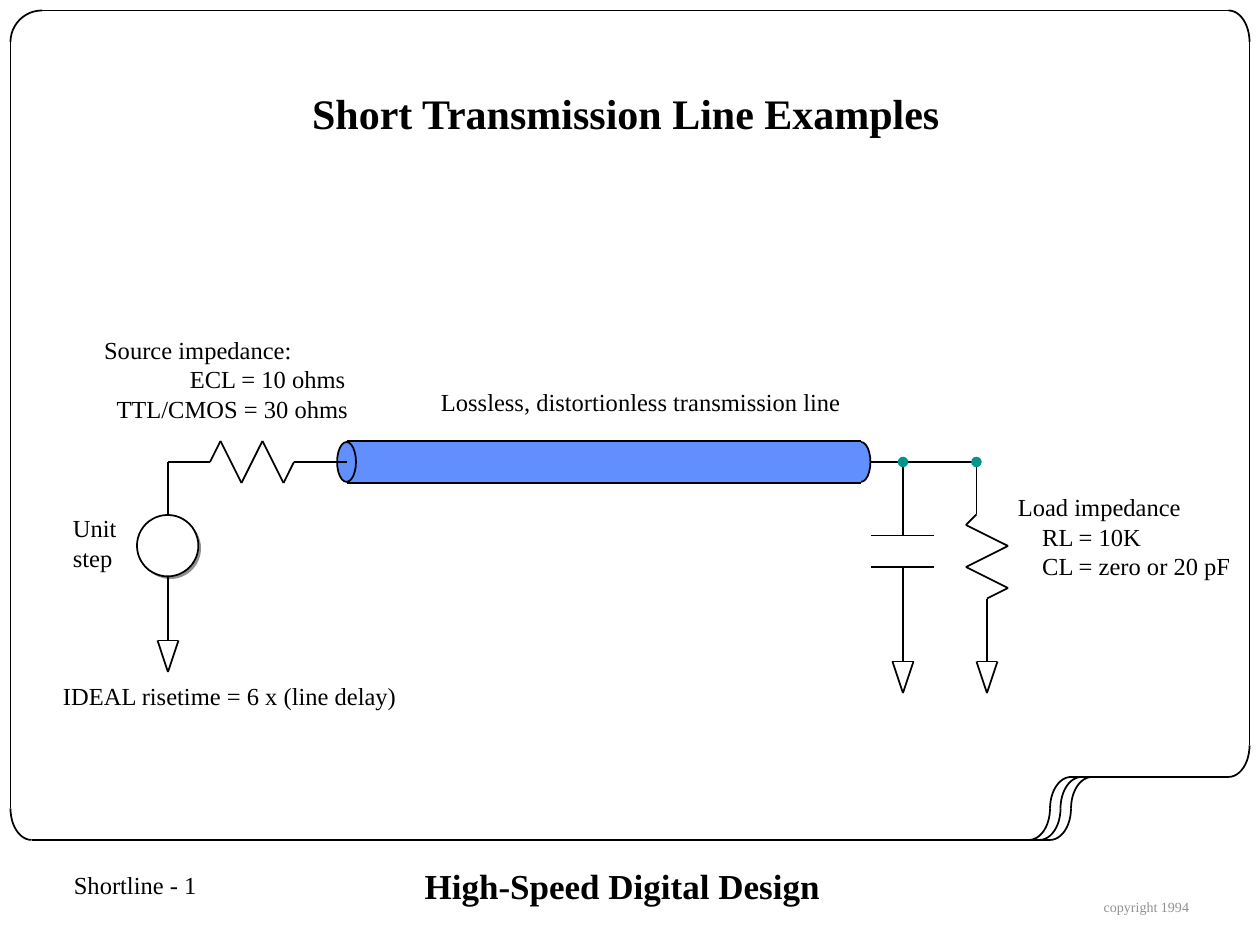
from itertools import pairwise

from lxml import etree
from pptx import Presentation
from pptx.dml.color import RGBColor as Rgb
from pptx.enum.shapes import MSO_CONNECTOR as Connector, MSO_SHAPE as Shape
from pptx.enum.text import MSO_ANCHOR as Anchor, MSO_AUTO_SIZE as AutoSize, PP_ALIGN as Align
from pptx.oxml.ns import qn
from pptx.util import Cm, Pt

COLORS = {"ink": "000000", "paper": "FFFFFF", "gray": "919191",
          "cable": "618FFD", "node": "009688"}


def grid(units):
    """The drawing sits on a grid of twelve units to the inch."""
    return Cm(units * 2.54 / 12)


class Sketch:
    font_name = "Times New Roman"
    line_width = Pt(1)

    def __init__(self, slide):
        self.slide = slide
        self.shapes = slide.shapes

    def color(self, name):
        return Rgb.from_string(COLORS[name])

    def format_text(self, paragraph, size, color="ink", bold=False):
        formats = {"name": self.font_name, "size": Pt(size), "bold": bold}
        for key, value in formats.items():
            setattr(paragraph.font, key, value)
        paragraph.font.color.rgb = self.color(color)

    def title(self, text, box):
        title = self.shapes.title
        for key, value in zip(("left", "top", "width", "height"), box):
            setattr(title, key, Cm(value))
        frame = title.text_frame
        frame.text = text
        frame.auto_size = AutoSize.NONE
        frame.vertical_anchor = Anchor.MIDDLE
        paragraph = frame.paragraphs[0]
        paragraph.alignment = Align.CENTER
        paragraph.line_spacing = 0.9
        self.format_text(paragraph, 24, bold=True)

    def text(self, lines, box, size=14, color="ink", bold=False):
        """Each line is a pair of its wording and its indent in cm."""
        frame = self.shapes.add_textbox(*map(Cm, box)).text_frame
        frame.word_wrap = True
        frame.auto_size = AutoSize.NONE
        for index, (wording, indent) in enumerate(lines):
            paragraph = frame.add_paragraph() if index else frame.paragraphs[0]
            paragraph.text = wording
            if indent:
                paragraph._p.get_or_add_pPr().set("marL", str(Cm(indent)))
            self.format_text(paragraph, size, color, bold)

    def shape(self, kind, box, fill=None, outlined=True):
        shape = self.shapes.add_shape(kind, *map(grid, box))
        shape.shadow.inherit = False
        if fill:
            shape.fill.solid()
            shape.fill.fore_color.rgb = self.color(fill)
        else:
            shape.fill.background()
        if outlined:
            shape.line.color.rgb = self.color("ink")
            shape.line.width = self.line_width
        else:
            shape.line.fill.background()
        return shape

    def arc(self, box, start):
        """A quarter arc, clockwise from the start angle in degrees."""
        arc = self.shape(Shape.ARC, box)
        for index, angle in enumerate((start, (start + 90) % 360)):
            arc.adjustments[index] = angle * 0.6

    def wire(self, *points):
        """Straight lines through the points; returns the first one."""
        lines = []
        for start, end in pairwise(points):
            line = self.shapes.add_connector(
                Connector.STRAIGHT, *map(grid, start + end))
            line.line.color.rgb = self.color("ink")
            line.line.width = self.line_width
            etree.SubElement(line._element.spPr, qn("a:effectLst"))
            lines.append(line)
        return lines[0]

    def ground(self, x, y):
        self.wire((x - 1, y), (x + 1, y), (x, y + 3), (x - 1, y))


def draw_frame(sketch):
    # Page outline with rounded corners
    for points in (((1, 77), (1, 4)), ((3, 80), (100, 80)), ((102, 74), (117, 74)),
                   ((119, 71), (119, 4)), ((117, 1), (4, 1))):
        sketch.wire(*points)
    for box, start in (((1, 74, 4, 6), 90), ((1, 1, 6, 6), 180),
                       ((115, 68, 4, 6), 0), ((115, 1, 4, 6), 270)):
        sketch.arc(box, start)
    # Three folded sheets at the lower right
    for sheet in range(3):
        sketch.arc((96 + sheet, 74, 4, 6), 0)
        sketch.arc((100 + sheet, 74, 4, 6), 180)
    # Footer
    sketch.text([("High-Speed Digital Design", 0)], (8.31, 17.3, 8.9, 1.09), 20, bold=True)
    sketch.text([("copyright 1994", 0)], (22, 17.98, 2.6, 0.58), 8, "gray")
    sketch.text([("Shortline - 1", 0.12)], (1.12, 17.42, 4.93, 0.84))


def draw_circuit(sketch):
    # Unit step source with its shadow
    sketch.shape(Shape.OVAL, (13.3, 49.3, 5.85, 5.85), "gray", outlined=False)
    sketch.shape(Shape.OVAL, (13.05, 49.05, 5.85, 5.85), "paper")
    sketch.wire((16, 49), (16, 44))
    sketch.wire((16, 55), (16, 61))
    sketch.ground(16, 61)

    # Transmission line
    output_wire = sketch.wire((82, 44), (93, 44))
    sketch.shape(Shape.OVAL, (81.1, 42.1, 1.8, 3.8), "cable")
    cable = sketch.shape(Shape.RECTANGLE, (33, 42, 49, 4), "cable", outlined=False)
    for y in (42, 46):
        sketch.wire((33, y), (82, y))
    sketch.shape(Shape.OVAL, (32.1, 42.1, 1.8, 3.8), "cable")
    output_wire.begin_connect(cable, 3)

    # Source resistor
    input_wire = sketch.wire((33, 44), (28, 44), (27, 46), (25, 42), (23, 46),
                             (21, 42), (20, 44), (16, 44))
    input_wire.begin_connect(cable, 1)

    # Load capacitor
    sketch.wire((86, 44), (86, 51))
    for y in (51, 54):
        sketch.wire((83, y), (89, y))
    sketch.wire((86, 54), (86, 63))
    sketch.ground(86, 63)

    # Load resistor
    sketch.wire((93, 44), (93, 49), (92, 50), (96, 52), (92, 54),
                (96, 56), (94, 57), (94, 63))
    sketch.ground(94, 63)

    # Junctions
    for x in (86, 93):
        sketch.shape(Shape.OVAL, (x - 0.5, 43.5, 1, 1), "node", outlined=False)


def draw_labels(sketch):
    sketch.text([("Source impedance:", 0), ("ECL = 10 ohms", 1.73),
                 ("TTL/CMOS = 30 ohms", 0.25)], (1.85, 6.63, 5.8, 2.03))
    sketch.text([("Unit", 0), ("step", 0)], (1.22, 10.22, 1.6, 1.42))
    sketch.text([("IDEAL risetime = 6 x (line delay)", 0)], (1.02, 13.61, 7.6, 0.84))
    sketch.text([("Lossless, distortionless transmission line", 0)],
                (8.64, 7.68, 9, 0.84))
    sketch.text([("Load impedance", 0), ("RL = 10K", 0.49),
                 ("CL = zero or 20 pF", 0.49)], (20.27, 9.8, 5.1, 2.03))


def main():
    presentation = Presentation()
    presentation.slide_width, presentation.slide_height = Cm(25.4), Cm(19.05)
    title_only = presentation.slide_layouts[5]
    sketch = Sketch(presentation.slides.add_slide(title_only))
    sketch.title("Short Transmission Line Examples", (2.67, 0.74, 19.89, 3.18))
    draw_frame(sketch)
    draw_circuit(sketch)
    draw_labels(sketch)
    presentation.save("out.pptx")


if __name__ == "__main__":
    main()
